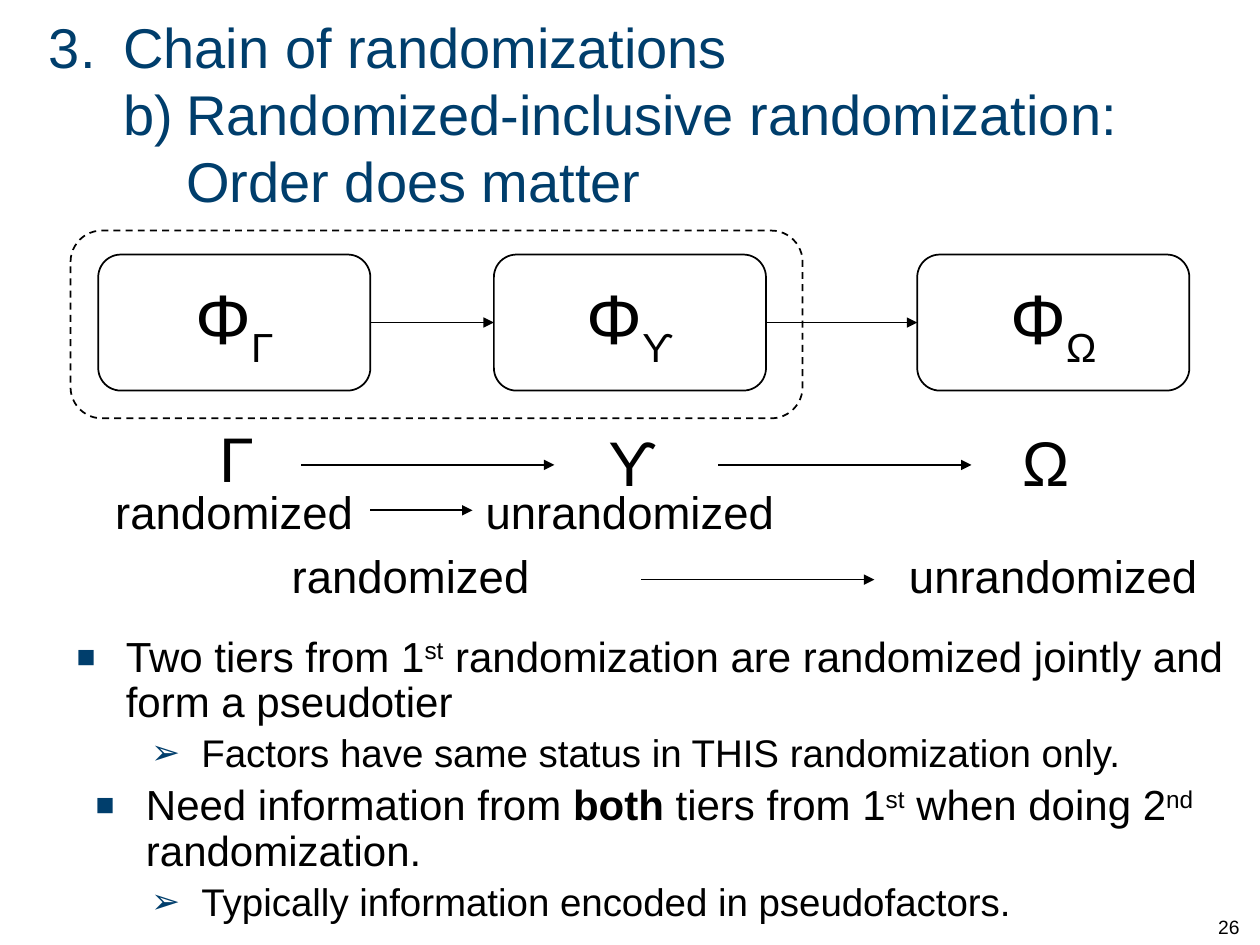
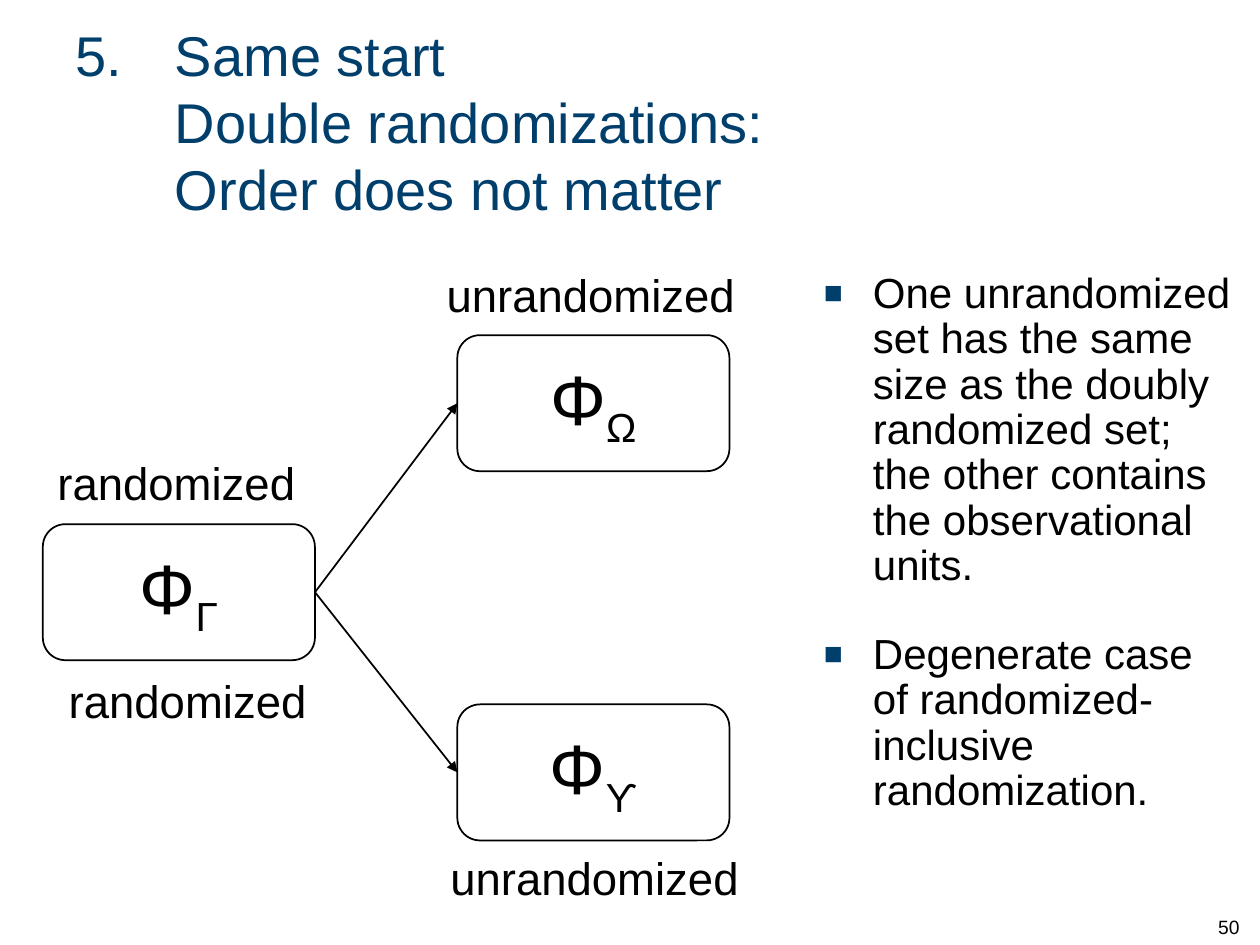
from lxml import etree
from pptx import Presentation
from pptx.dml.color import RGBColor
from pptx.enum.dml import MSO_LINE
from pptx.enum.shapes import MSO_CONNECTOR, MSO_SHAPE
from pptx.enum.text import MSO_ANCHOR, PP_ALIGN
from pptx.oxml.ns import qn
from pptx.util import Inches, Pt

NAVY = RGBColor(0x00, 0x3E, 0x6C)
BLACK = RGBColor(0x00, 0x00, 0x00)
FONT = "Arial"
STRAIGHT = MSO_CONNECTOR.STRAIGHT
ROUNDED = MSO_SHAPE.ROUNDED_RECTANGLE
DASH = MSO_LINE.DASH
LEFT, CENTER = PP_ALIGN.LEFT, PP_ALIGN.CENTER
TOP, MIDDLE, BOTTOM = MSO_ANCHOR.TOP, MSO_ANCHOR.MIDDLE, MSO_ANCHOR.BOTTOM
LEFT_SIDE, RIGHT_SIDE = 1, 3

TIER_WIDTH, TIER_HEIGHT = 2.16, 1.08
LABEL_WIDTH = 2.52
SUPER, SUB = 30, -25
BULLETS = {0: ("■", 75, 24), 1: ("➢", 90, 22)}


def style_run(run, size, color=BLACK, bold=None, baseline=None):
    run.font.name = FONT
    run.font.size = Pt(size)
    run.font.color.rgb = color
    run.font.bold = bold
    if baseline:
        run.font._element.set("baseline", str(baseline * 1000))


def set_indent(paragraph, indent):
    properties = paragraph._p.get_or_add_pPr()
    properties.set("marL", str(Inches(indent)))
    properties.set("indent", str(-Inches(0.4 if indent < 0.59 or indent > 0.9 else indent)))
    return properties


def add_textbox(slide, left, top, width, height, anchor=TOP):
    frame = slide.shapes.add_textbox(
        Inches(left), Inches(top), Inches(width), Inches(height)).text_frame
    frame.word_wrap = True
    frame.vertical_anchor = anchor
    return frame


def add_text(slide, text, left, top, width, height, size,
             align=LEFT, anchor=TOP, color=BLACK):
    paragraph = add_textbox(slide, left, top, width, height, anchor).paragraphs[0]
    paragraph.text = text
    paragraph.alignment = align
    for run in paragraph.runs:
        style_run(run, size, color)
    return paragraph


def add_title(slide, text, left, top, width, height, indent, tab=None):
    title = add_text(slide, text, left, top, width, height, 32,
                     anchor=MIDDLE, color=NAVY)
    properties = set_indent(title, indent)
    if tab:
        stops = etree.SubElement(properties, qn("a:tabLst"))
        etree.SubElement(stops, qn("a:tab"), pos=str(Inches(tab)), algn="l")


def add_page_number(slide, number):
    add_text(slide, str(number), 9.57, 7, 0.42, 0.5, 11, anchor=BOTTOM)


def add_label(slide, text, left, top, width=LABEL_WIDTH):
    add_text(slide, text, left, top, width, 0.53, 26, align=CENTER)


def add_symbol(slide, text, left, top):
    add_text(slide, text, left, top, 0.64, 0.71, 36)


def add_bullets(slide, points, left, top, width, height):
    frame = add_textbox(slide, left, top, width, height)
    for index, (level, indent, gap, pieces) in enumerate(points):
        mark, percent, size = BULLETS[level]
        point = frame.add_paragraph() if index else frame.paragraphs[0]
        point.level = level
        point.line_spacing = 0.9
        if index:
            point.space_before = Pt(gap)
        properties = set_indent(point, indent)
        color = etree.SubElement(properties, qn("a:buClr"))
        etree.SubElement(color, qn("a:srgbClr"), val=str(NAVY))
        etree.SubElement(properties, qn("a:buSzPct"), val=str(percent * 1000))
        etree.SubElement(properties, qn("a:buFont"), typeface=FONT)
        etree.SubElement(properties, qn("a:buChar"), char=mark)
        point.text = "".join(pieces) if len(pieces) == 1 else ""
        for piece in pieces if len(pieces) > 1 else ():
            point.add_run().text = piece
        for run in point.runs:
            style_run(run, size, bold=run.text == "both" or None,
                      baseline=SUPER if run.text in ("st", "nd") else None)


def add_outline(slide, left, top, width, height):
    outline = slide.shapes.add_shape(
        ROUNDED, Inches(left), Inches(top), Inches(width), Inches(height))
    outline.shadow.inherit = False
    outline.fill.background()
    outline.line.color.rgb = BLACK
    outline.line.width = Pt(1)
    return outline


def add_tier(slide, subscript, left, top):
    tier = add_outline(slide, left, top, TIER_WIDTH, TIER_HEIGHT)
    frame = tier.text_frame
    frame.margin_left = frame.margin_right = Inches(0.01)
    frame.margin_top = frame.margin_bottom = Inches(0.02)
    frame.vertical_anchor = MIDDLE
    paragraph = frame.paragraphs[0]
    paragraph.alignment = CENTER
    for text, baseline in (("Φ", None), (subscript, SUB)):
        run = paragraph.add_run()
        run.text = text
        style_run(run, 40, baseline=baseline)
    return tier


def add_arrow(slide, x1=0, y1=0, x2=0, y2=0):
    arrow = slide.shapes.add_connector(
        STRAIGHT, Inches(x1), Inches(y1), Inches(x2), Inches(y2))
    arrow.line.color.rgb = BLACK
    arrow.line.width = Pt(1)
    etree.SubElement(arrow.line._get_or_add_ln(), qn("a:tailEnd"),
                     type="triangle", w="med", len="med")
    etree.SubElement(arrow._element.spPr, qn("a:effectLst"))
    return arrow


def join_tiers(slide, source, target):
    arrow = add_arrow(slide)
    arrow.begin_connect(source, RIGHT_SIDE)
    arrow.end_connect(target, LEFT_SIDE)


def build_chain(slide):
    add_title(slide, "3.\tChain of randomizations\v"
              "b)\tRandomized-inclusive randomization:\v"
              "\tOrder does matter", 0.29, 0.13, 9.46, 1.54, 0.59, tab=1.18)
    add_bullets(slide, [
        (0, 0.39, 0, ["Two tiers from 1", "st",
                      " randomization are randomized jointly and form a pseudotier"]),
        (1, 0.99, 4.4, ["Factors have same status in THIS randomization only."]),
        (0, 0.55, 4.8, ["Need information from ", "both", " tiers from 1", "st",
                        " when doing 2", "nd", " randomization."]),
        (1, 0.99, 4.4, ["Typically information encoded in pseudofactors."]),
    ], 0.51, 5, 9.48, 2.5)
    add_page_number(slide, 26)

    pseudotier = add_outline(slide, 0.56, 1.83, 5.81, 1.49)
    pseudotier.line.dash_style = DASH
    gamma, upsilon, omega = [add_tier(slide, letter, left, 2.02) for letter, left in
                             (("Γ", 0.78), ("ϒ", 3.92), ("Ω", 7.28))]
    join_tiers(slide, gamma, upsilon)
    join_tiers(slide, upsilon, omega)

    for letter, left, top in (("Γ", 1.64, 3.28), ("ϒ", 4.73, 3.31), ("Ω", 8.02, 3.31)):
        add_symbol(slide, letter, left, top)
    for start, end, y in ((2.39, 4.4, 3.69), (5.7, 7.71, 3.69),
                          (2.94, 3.75, 4.05), (5.09, 6.94, 4.6)):
        add_arrow(slide, start, y, end, y)
    add_label(slide, "randomized", 0.81, 3.79, 2.1)
    add_label(slide, "unrandomized", 3.74, 3.79)
    add_label(slide, "randomized", 2.11, 4.3, 2.3)
    add_label(slide, "unrandomized", 7.1, 4.3)


def build_same_start(slide):
    add_title(slide, "5.\tSame start\vDouble randomizations:\vOrder does not matter",
              0.5, 0.24, 9, 1.44, 0.79)
    add_bullets(slide, [
        (0, 0.39, 0, ["One unrandomized set has the same size as the doubly "
                      "randomized set;\vthe other contains the observational units."]),
        (0, 0.39, 25, ["Degenerate case of randomized-inclusive randomization."]),
    ], 6.44, 2.11, 3.44, 5.15)
    add_page_number(slide, 50)

    gamma = add_tier(slide, "Γ", 0.34, 4.16)
    for letter, top in (("Ω", 2.66), ("ϒ", 5.59)):
        join_tiers(slide, gamma, add_tier(slide, letter, 3.63, top))
    add_label(slide, "unrandomized", 3.43, 2.07)
    add_label(slide, "unrandomized", 3.46, 6.7)
    add_label(slide, "randomized", 0.14, 3.56)
    add_label(slide, "randomized", 0.23, 5.29)


def main():
    deck = Presentation()
    deck.slide_width, deck.slide_height = Inches(10), Inches(7.5)
    blank = deck.slide_layouts[6]
    for build in (build_chain, build_same_start):
        build(deck.slides.add_slide(blank))
    deck.save("out.pptx")


if __name__ == "__main__":
    main()
